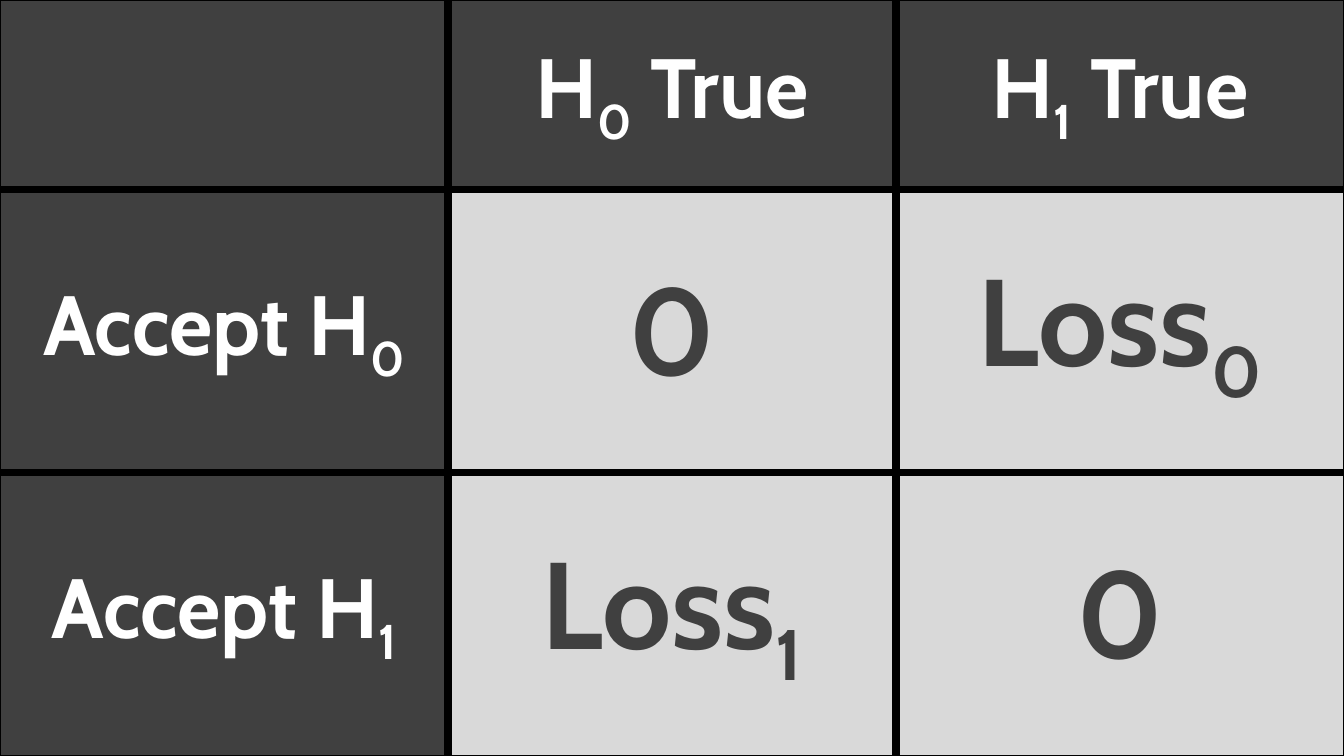
import lxml.etree
import pptx
import pptx.dml.color
import pptx.enum.text
import pptx.oxml.ns
import pptx.util

Inches = pptx.util.Inches
DARK = pptx.dml.color.RGBColor(0x40, 0x40, 0x40)
LIGHT = pptx.dml.color.RGBColor(0xD9, 0xD9, 0xD9)
WHITE = pptx.dml.color.RGBColor(0xFF, 0xFF, 0xFF)
BLACK = pptx.dml.color.RGBColor(0x00, 0x00, 0x00)

ROW_HEIGHTS = (1.88, 2.81, 2.81)
LOSS_TABLE = (
    ((), ("H", "0", " True"), ("H", "1", " True")),
    (("Accept H", "0"), ("0",), ("Loss", "0")),
    (("Accept H", "1"), ("Loss", "1"), ("0",)),
)


def add_text(para, text, *, size, color, subscript=False):
    """Append a bold span of text, lowered when it is a subscript."""
    span = para.add_run()
    span.text = text
    span.font.name = "Cabin"
    span.font.size = pptx.util.Pt(size)
    span.font.bold = True
    span.font.color.rgb = color
    if subscript:
        span._r.get_or_add_rPr().set("baseline", "-25000")


def add_border(cell, side, points):
    """Draw one side (L, R, T or B) of a cell as a solid line."""
    qn = pptx.oxml.ns.qn
    line = lxml.etree.SubElement(
        cell._tc.get_or_add_tcPr(), qn(f"a:ln{side}"), w=str(pptx.util.Pt(points))
    )
    fill = lxml.etree.SubElement(line, qn("a:solidFill"))
    lxml.etree.SubElement(fill, qn("a:srgbClr"), val=str(BLACK))


def fill_cell(cell, parts, *, heading, borders):
    """Format one cell and write its text, every second part a subscript."""
    for side, points in borders.items():
        add_border(cell, side, points)
    cell.fill.solid()
    cell.fill.fore_color.rgb = DARK if heading else LIGHT
    cell.vertical_anchor = pptx.enum.text.MSO_ANCHOR.MIDDLE
    cell.margin_left = cell.margin_right = Inches(0.07)
    cell.margin_top = cell.margin_bottom = 0
    para = cell.text_frame.paragraphs[0]
    para.alignment = pptx.enum.text.PP_ALIGN.CENTER
    for index, text in enumerate(parts):
        add_text(
            para,
            text,
            size=60 if heading else 88,
            color=WHITE if heading else DARK,
            subscript=index % 2 == 1,
        )


def add_loss_table(page, left, top, width, height):
    """Fill the given box with the decision table of losses."""
    rows, columns = len(LOSS_TABLE), len(LOSS_TABLE[0])
    table = page.shapes.add_table(rows, columns, left, top, width, height).table
    for column in table.columns:
        column.width = int(width / columns)
    for row, share in zip(table.rows, ROW_HEIGHTS):
        row.height = int(height * share / sum(ROW_HEIGHTS))
    for r, entries in enumerate(LOSS_TABLE):
        for c, parts in enumerate(entries):
            borders = {
                "L": 1 if c == 0 else 6,
                "R": 1 if c == columns - 1 else 6,
                "T": 1 if r == 0 else 6,
                "B": 1 if r == rows - 1 else 6,
            }
            heading = r == 0 or c == 0
            fill_cell(table.cell(r, c), parts, heading=heading, borders=borders)


def main():
    """Build the deck and save it."""
    deck = pptx.Presentation()
    deck.slide_width = Inches(13.33)
    deck.slide_height = Inches(7.5)
    page = deck.slides.add_slide(deck.slide_layouts[6])
    add_loss_table(page, 0, 0, deck.slide_width, deck.slide_height)
    deck.save("out.pptx")


if __name__ == "__main__":
    main()
